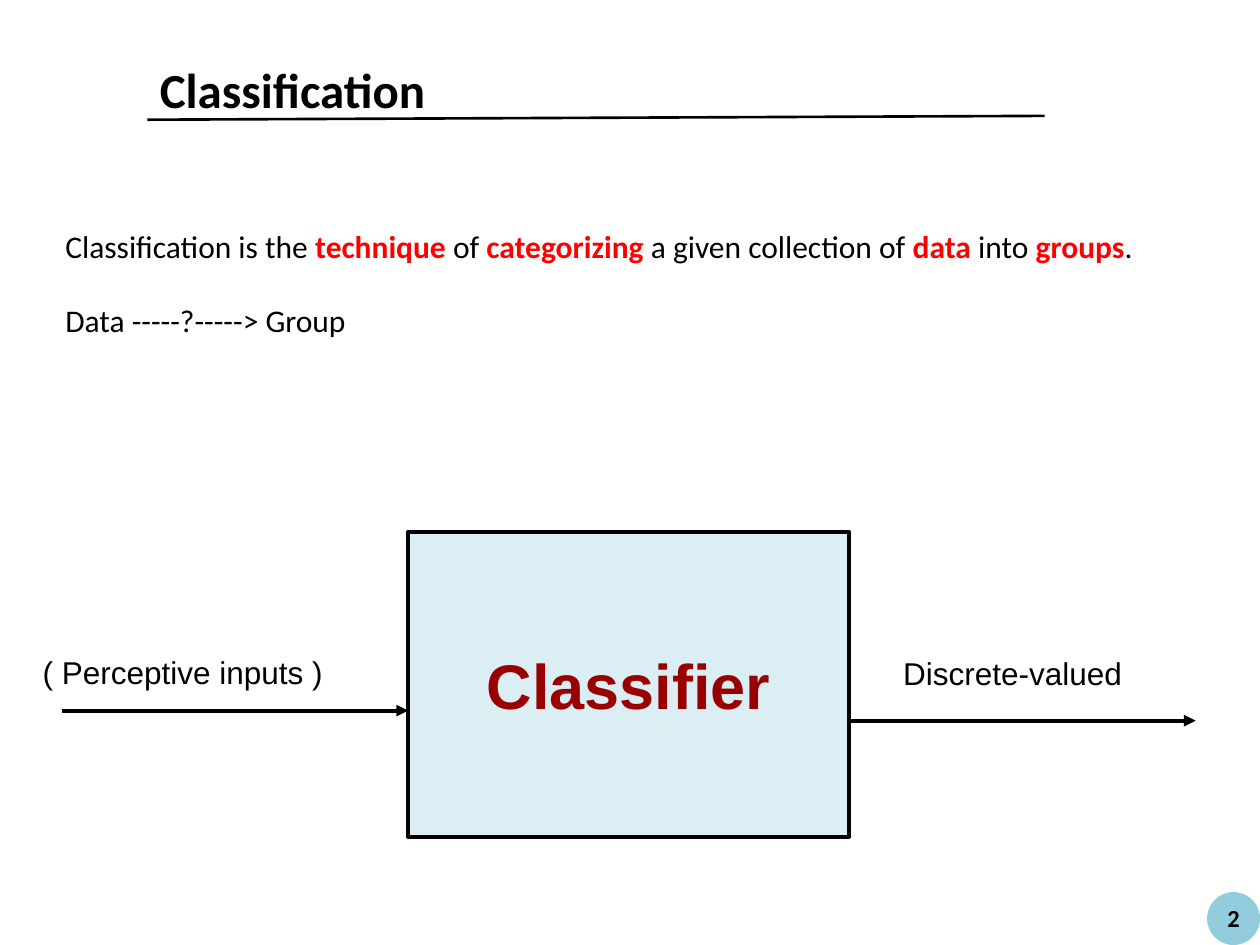
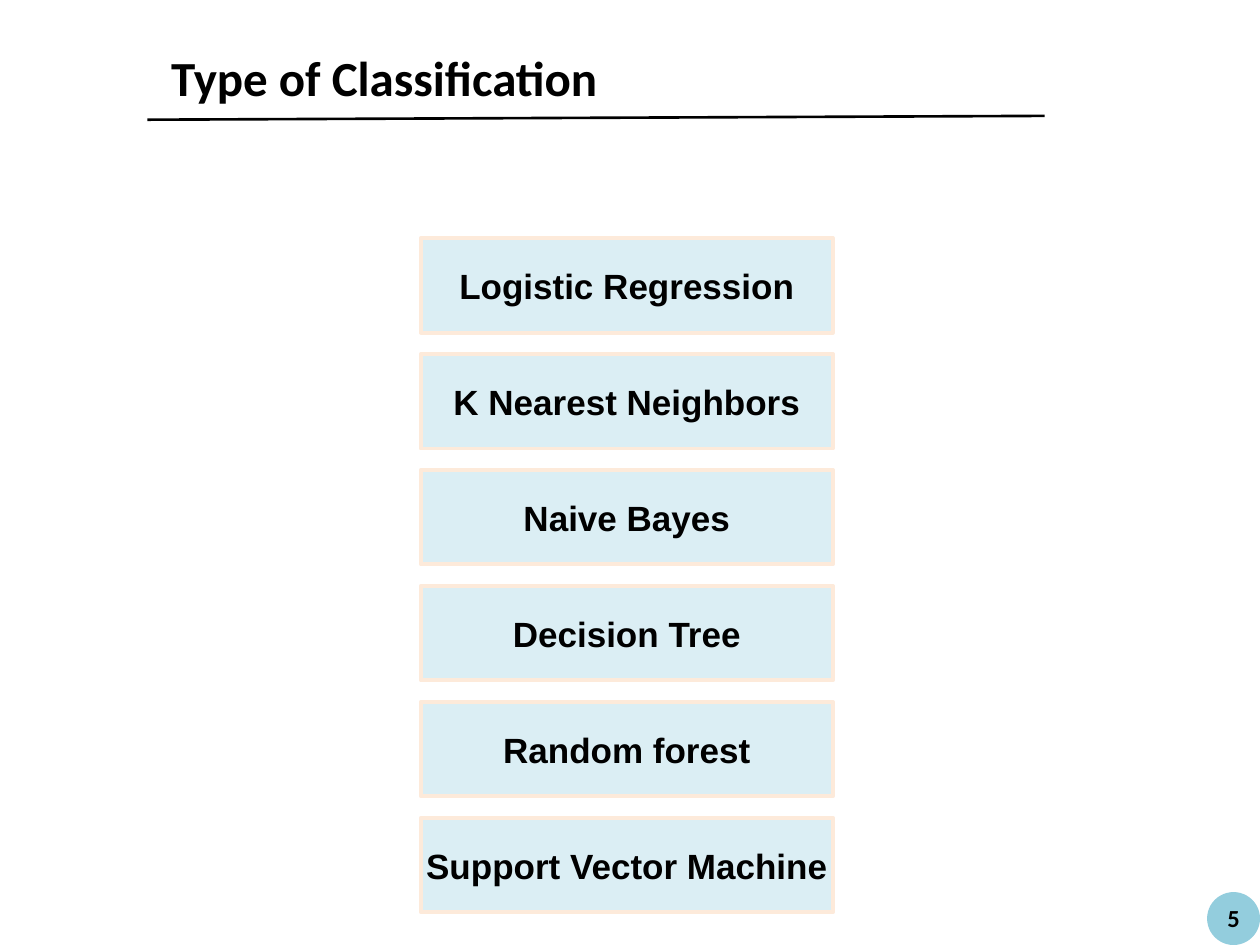
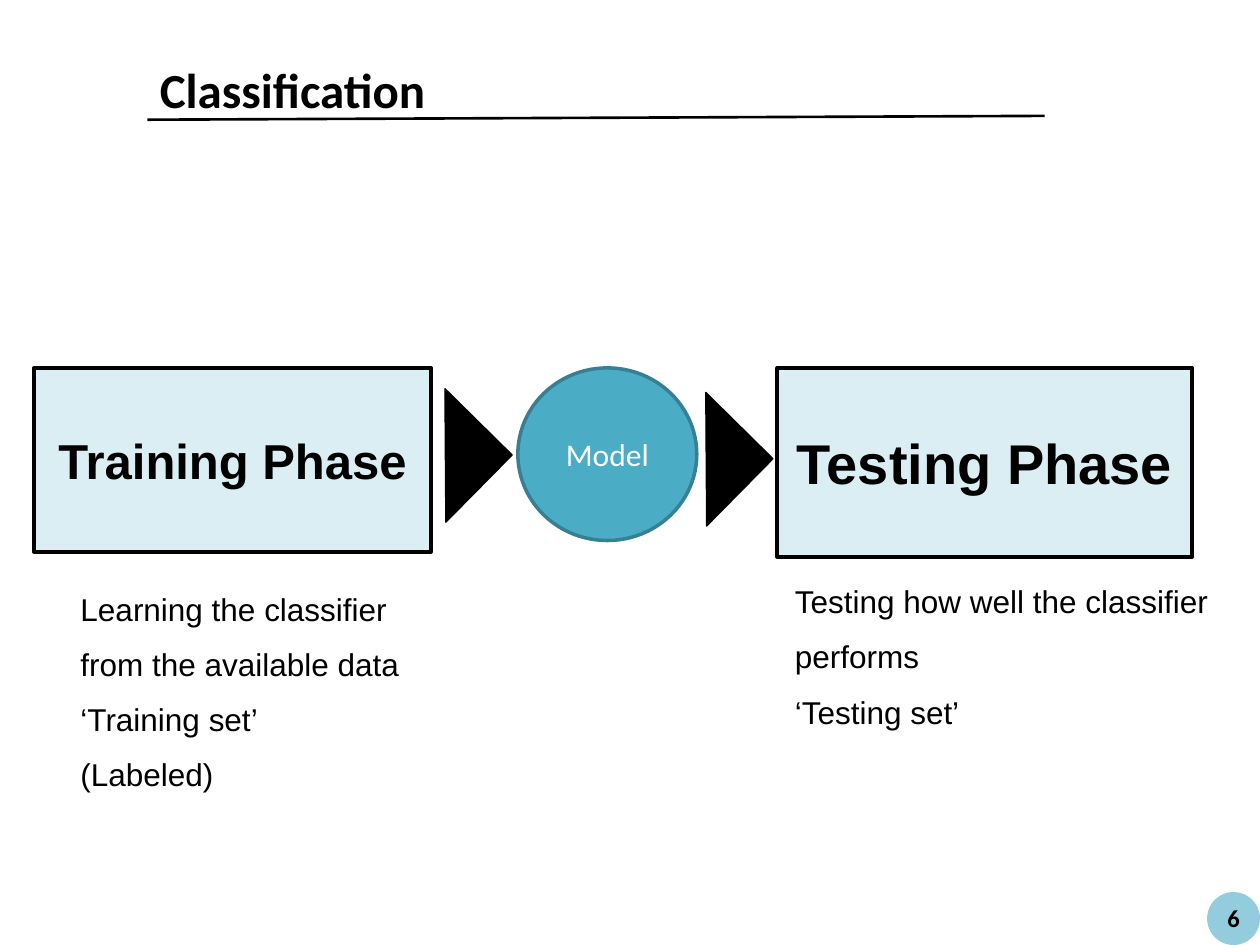
from dataclasses import dataclass
from typing import NamedTuple

from lxml import etree
from pptx import Presentation
from pptx.dml.color import RGBColor
from pptx.enum.shapes import MSO_CONNECTOR, MSO_SHAPE
from pptx.enum.text import MSO_ANCHOR, MSO_AUTO_SIZE, PP_ALIGN
from pptx.oxml.ns import qn
from pptx.util import Pt

EMU_PER_PX = 9144  # 100 px to the inch
RECTANGLE = MSO_SHAPE.RECTANGLE
OVAL = MSO_SHAPE.OVAL
RIGHT_TRIANGLE = MSO_SHAPE.RIGHT_TRIANGLE
STRAIGHT = MSO_CONNECTOR.STRAIGHT
LEFT = PP_ALIGN.LEFT
CENTER = PP_ALIGN.CENTER
MIDDLE = MSO_ANCHOR.MIDDLE
FIT_TEXT = MSO_AUTO_SIZE.SHAPE_TO_FIT_TEXT


@dataclass(frozen=True)
class Theme:
    ink: str = "000000"
    paper: str = "FFFFFF"
    keyword: str = "FF0000"
    classifier: str = "990000"
    panel: str = "DBEEF4"
    method_edge: str = "FDEADA"
    badge: str = "93CDDD"
    model: str = "4BACC6"
    model_edge: str = "377F92"
    heading_font: str = "Calibri"
    diagram_font: str = "Arial"
    title_size: int = 28
    body_size: int = 18
    page_size: int = 14
    classifier_size: int = 36
    method_size: int = 20
    training_size: int = 28
    testing_size: int = 32


THEME = Theme()


class Area(NamedTuple):
    left: int
    top: int
    width: int
    height: int


class Style(NamedTuple):
    size: int
    font: str
    color: str = THEME.ink
    bold: bool = False
    align: PP_ALIGN = LEFT
    gap: int = 0


class Node(NamedTuple):
    area: Area
    kind: MSO_SHAPE
    fill: str
    edge: str | None = None
    edge_width: float = 2.25
    rotation: float = 0
    label: str = ""
    style: Style | None = None


class Line(NamedTuple):
    start: tuple[int, int]
    end: tuple[int, int]
    width: float = 2.25
    arrow: bool = True


class Note(NamedTuple):
    """Paragraphs of text; words between asterisks are keywords."""
    area: Area
    paragraphs: tuple[str, ...]
    style: Style
    wrap: bool = True


TITLE = Style(THEME.title_size, THEME.heading_font, bold=True)
PAGE = Style(THEME.page_size, THEME.heading_font, bold=True, align=CENTER)
DEFINITION = Style(THEME.body_size, THEME.heading_font, gap=21)
CAPTION = Style(THEME.body_size, THEME.diagram_font, gap=10)
MODEL = Style(THEME.body_size, THEME.heading_font, THEME.paper, align=CENTER)

TITLE_AREA = Area(117, 42, 234, 57)
TYPES_TITLE_AREA = Area(126, 33, 363, 57)
TITLE_RULE = Line((117, 95), (829, 92), 1.5, False)
BADGE = Node(Area(958, 708, 42, 42), OVAL, THEME.badge)
PAGE_AREA = Area(958, 712, 42, 34)

METHODS = ("Logistic Regression", "K Nearest Neighbors", "Naive Bayes",
           "Decision Tree", "Random forest", "Support Vector Machine")
FIRST_METHOD = Area(334, 189, 327, 75)
METHOD_PITCH = 92


def px(length: int) -> int:
    return length * EMU_PER_PX


def scaled(lengths: tuple[int, ...]) -> list[int]:
    return [px(length) for length in lengths]


def rgb(color: str) -> RGBColor:
    return RGBColor.from_string(color)


def label_style(size: int, color: str = THEME.ink) -> Style:
    return Style(size, THEME.diagram_font, color, True, CENTER)


def write(frame, paragraphs: tuple[str, ...], style: Style) -> None:
    for index, text in enumerate(paragraphs):
        paragraph = frame.add_paragraph() if index else frame.paragraphs[0]
        paragraph.alignment = style.align
        if index:
            paragraph.space_before = Pt(style.gap)
        for part, words in enumerate(text.split("*")):
            is_keyword = part % 2 == 1
            run = paragraph.add_run()
            run.text = words
            font_format = {"name": style.font, "size": Pt(style.size),
                           "bold": style.bold or is_keyword}
            for name, value in font_format.items():
                setattr(run.font, name, value)
            run.font.color.rgb = rgb(THEME.keyword if is_keyword else style.color)


def draw_note(slide, note: Note) -> None:
    frame = slide.shapes.add_textbox(*scaled(note.area)).text_frame
    frame_format = {"word_wrap": note.wrap, "auto_size": FIT_TEXT}
    for name, value in frame_format.items():
        setattr(frame, name, value)
    write(frame, note.paragraphs, note.style)


def draw_node(slide, node: Node) -> None:
    shape = slide.shapes.add_shape(node.kind, *scaled(node.area))
    shape.shadow.inherit = False
    shape.rotation = node.rotation
    shape.fill.solid()
    shape.fill.fore_color.rgb = rgb(node.fill)
    if node.edge:
        shape.line.color.rgb = rgb(node.edge)
        shape.line.width = Pt(node.edge_width)
    else:
        shape.line.fill.background()
    if node.style:
        frame_format = {"word_wrap": node.kind == OVAL, "vertical_anchor": MIDDLE}
        for name, value in frame_format.items():
            setattr(shape.text_frame, name, value)
        write(shape.text_frame, (node.label,), node.style)


def draw_line(slide, line: Line) -> None:
    connector = slide.shapes.add_connector(STRAIGHT, *scaled(line.start + line.end))
    connector.line.color.rgb = rgb(THEME.ink)
    connector.line.width = Pt(line.width)
    properties = connector.element.spPr
    if line.arrow:
        etree.SubElement(properties.find(qn("a:ln")), qn("a:tailEnd"), type="triangle")
    etree.SubElement(properties, qn("a:effectLst"))


def add_page(deck, title: str, number: int, title_area: Area = TITLE_AREA):
    """Add a blank slide with its title, rule and page badge."""
    slide = deck.slides.add_slide(deck.slide_layouts[6])
    draw_note(slide, Note(title_area, (title,), TITLE, wrap=False))
    draw_node(slide, BADGE)
    draw_note(slide, Note(PAGE_AREA, (str(number),), PAGE))
    draw_line(slide, TITLE_RULE)
    return slide


def build_definition(deck) -> None:
    slide = add_page(deck, "Classification", 2)
    draw_node(slide, Node(Area(324, 422, 350, 242), RECTANGLE, THEME.panel, THEME.ink,
                          label="Classifier",
                          style=label_style(THEME.classifier_size, THEME.classifier)))
    for flow in (Line((49, 564), (324, 564)), Line((674, 572), (949, 572))):
        draw_line(slide, flow)
    notes = (
        Note(Area(707, 514, 283, 40), ("Discrete-valued",), CAPTION),
        Note(Area(24, 513, 283, 40), ("( Perceptive inputs )",), CAPTION),
        Note(Area(42, 175, 942, 101),
             ("Classification is the *technique* of *categorizing* a given "
              "collection of *data* into *groups*.",
              "Data -----?-----> Group"), DEFINITION),
    )
    for note in notes:
        draw_note(slide, note)


def build_types(deck) -> None:
    slide = add_page(deck, "Type of Classification", 5, TYPES_TITLE_AREA)
    for row, method in enumerate(METHODS):
        area = FIRST_METHOD._replace(top=FIRST_METHOD.top + row * METHOD_PITCH)
        draw_node(slide, Node(area, RECTANGLE, THEME.panel, THEME.method_edge,
                              label=method, style=label_style(THEME.method_size)))


def build_phases(deck) -> None:
    slide = add_page(deck, "Classification", 6)
    phases = (
        ("Training Phase", Area(27, 292, 315, 146), THEME.training_size),
        ("Testing Phase", Area(617, 292, 329, 150), THEME.testing_size),
    )
    for phase, area, size in phases:
        draw_node(slide, Node(area, RECTANGLE, THEME.panel, THEME.ink,
                              label=phase, style=label_style(size)))
    for left, top in ((316, 324), (523, 327)):
        draw_node(slide, Node(Area(left, top, 75, 75), RIGHT_TRIANGLE, THEME.ink,
                              THEME.ink, 0.75, 224.6))
    draw_node(slide, Node(Area(411, 292, 142, 137), OVAL, THEME.model,
                          THEME.model_edge, 2, label="Model", style=MODEL))
    notes = (
        Note(Area(54, 463, 308, 176),
             ("Learning the classifier", "from the available data",
              "‘Training set’", "(Labeled)"), CAPTION),
        Note(Area(621, 457, 362, 177),
             ("Testing how well the classifier", "performs", "‘Testing set’"),
             CAPTION),
    )
    for note in notes:
        draw_note(slide, note)


def main() -> None:
    deck = Presentation()
    deck.slide_width, deck.slide_height = px(1000), px(750)
    for build in (build_definition, build_types, build_phases):
        build(deck)
    deck.save("out.pptx")


if __name__ == "__main__":
    main()
